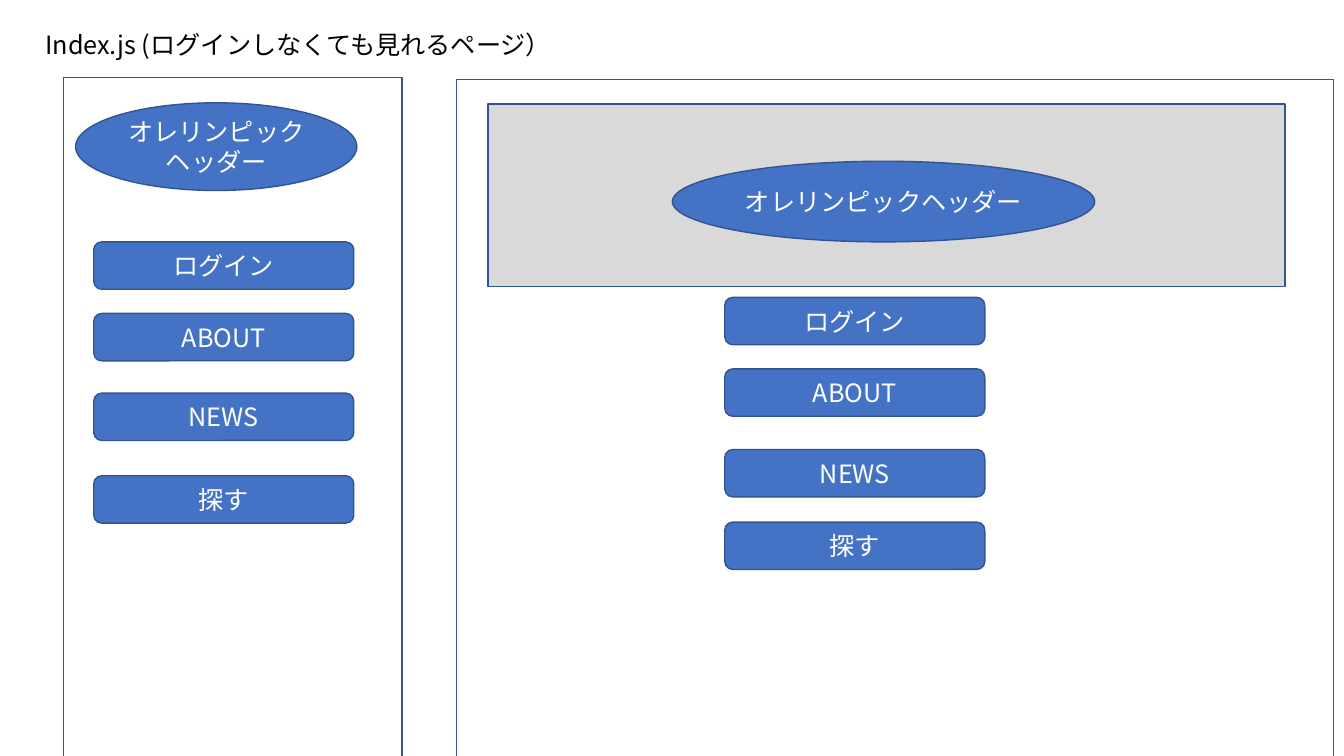
from lxml import etree
from pptx import Presentation
from pptx.dml.color import RGBColor
from pptx.enum.lang import MSO_LANGUAGE_ID
from pptx.enum.shapes import MSO_SHAPE
from pptx.enum.text import MSO_ANCHOR, MSO_AUTO_SIZE, PP_ALIGN
from pptx.oxml.ns import qn
from pptx.util import Inches, Pt

RECTANGLE = MSO_SHAPE.RECTANGLE
ELLIPSE = MSO_SHAPE.OVAL
ROUNDED = MSO_SHAPE.ROUNDED_RECTANGLE
LEFT, CENTER = PP_ALIGN.LEFT, PP_ALIGN.CENTER
TOP, MIDDLE = MSO_ANCHOR.TOP, MSO_ANCHOR.MIDDLE
FIT_SHAPE = MSO_AUTO_SIZE.SHAPE_TO_FIT_TEXT
JAPANESE = MSO_LANGUAGE_ID.JAPANESE

# Grid of square cells, ten to the inch
CELL = Inches(0.1)
COLUMNS, ROWS = 133.33, 75
TITLE_ONLY_LAYOUT = 5

FONT = "Noto Sans CJK JP"
COLORS = {
    "button": "4472C4",
    "outline": "325491",
    "banner": "D9D9D9",
    "title": "000000",
    "label": "FFFFFF",
}
HEADER = "オレリンピックヘッダー"
MENU = ["ログイン", "ABOUT", "NEWS", "探す"]
BUTTON_SIZE = (25.8, 4.7)


def cells(*counts):
    return [round(count * CELL) for count in counts]


def color(name):
    return RGBColor.from_string(COLORS[name])


def write(text_frame, text, color_name, alignment):
    paragraph = text_frame.paragraphs[0]
    paragraph.alignment = alignment
    run = paragraph.add_run()
    run.text = text
    font = run.font
    font.size = Pt(18)
    font.name = FONT
    font.color.rgb = color(color_name)
    font.language_id = JAPANESE
    # Japanese characters take their own typeface entry
    east_asian = etree.SubElement(run._r.get_or_add_rPr(), qn("a:ea"))
    east_asian.set("typeface", FONT)


def add_title(slide, text, box):
    title = slide.shapes.title
    title.left, title.top, title.width, title.height = cells(*box)
    text_frame = title.text_frame
    text_frame.word_wrap = False
    text_frame.auto_size = FIT_SHAPE
    text_frame.vertical_anchor = TOP
    write(text_frame, text, "title", LEFT)


def add_block(slide, kind, box, fill=None, label=None):
    shape = slide.shapes.add_shape(kind, *cells(*box))
    shape.shadow.inherit = False
    shape.line.color.rgb = color("outline")
    shape.line.width = Pt(1)
    if fill:
        shape.fill.solid()
        shape.fill.fore_color.rgb = color(fill)
    else:
        shape.fill.background()
    if label:
        shape.text_frame.word_wrap = True
        shape.text_frame.vertical_anchor = MIDDLE
        write(shape.text_frame, label, "label", CENTER)


def add_menu(slide, left, tops):
    for label, top in zip(MENU, tops):
        add_block(slide, ROUNDED, (left, top, *BUTTON_SIZE), "button", label)


def main():
    presentation = Presentation()
    presentation.slide_width, presentation.slide_height = cells(COLUMNS, ROWS)
    layout = presentation.slide_layouts[TITLE_ONLY_LAYOUT]
    slide = presentation.slides.add_slide(layout)

    add_title(slide, "Index.js (ログインしなくても見れるページ）", (3.5, 2.4, 53.1, 4))

    # Narrow page: phone layout
    add_block(slide, RECTANGLE, (6.3, 7.7, 33.6, 71.7))
    add_block(slide, ELLIPSE, (7.5, 10.2, 27.9, 8.7), "button", HEADER)
    add_menu(slide, 9.3, [24, 31.1, 39, 47.2])

    # Wide page: desktop layout with a banner
    add_block(slide, RECTANGLE, (45.3, 7.9, 87, 71.7))
    add_block(slide, RECTANGLE, (48.4, 10.3, 79.1, 18.1), "banner")
    add_block(slide, ELLIPSE, (66.7, 16, 41.9, 8), "button", HEADER)
    add_menu(slide, 71.9, [29.5, 36.6, 44.6, 51.8])

    presentation.save("out.pptx")


main()
